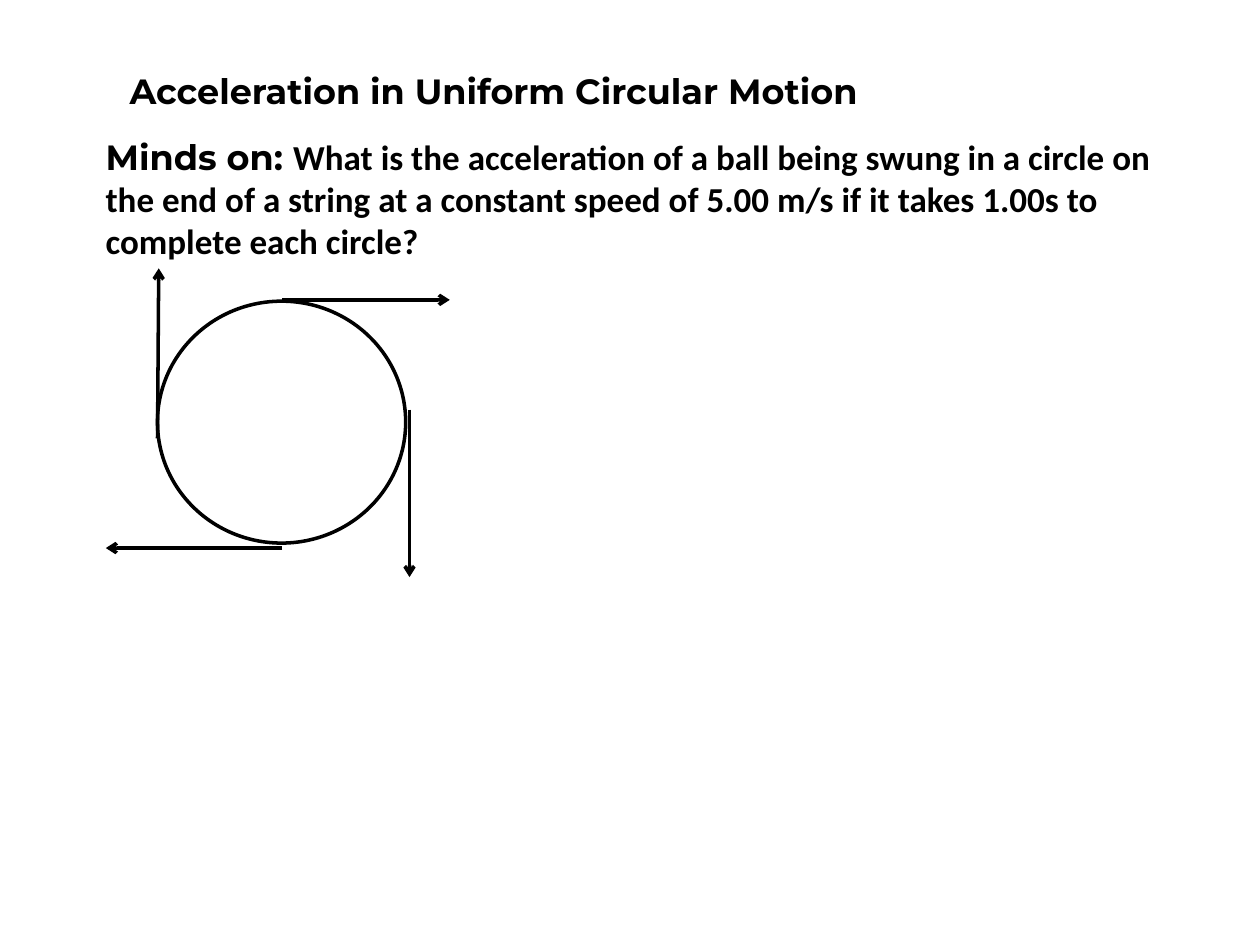
from dataclasses import dataclass

from lxml import etree
from pptx import Presentation
from pptx.dml.color import RGBColor
from pptx.enum.shapes import MSO_CONNECTOR, MSO_SHAPE
from pptx.enum.text import MSO_ANCHOR, PP_ALIGN
from pptx.oxml.ns import qn
from pptx.util import Inches, Pt

STRAIGHT = MSO_CONNECTOR.STRAIGHT
OVAL = MSO_SHAPE.OVAL
MIDDLE = MSO_ANCHOR.MIDDLE
LEFT = PP_ALIGN.LEFT


@dataclass(frozen=True)
class Theme:
    ink: RGBColor = RGBColor(0, 0, 0)
    heading_font: str = "Montserrat"
    body_font: str = "Calibri"
    text_size: Pt = Pt(20)
    line_width: Pt = Pt(2)


@dataclass(frozen=True)
class Passage:
    left: float
    top: float
    runs: tuple[tuple[str, str], ...]  # (wording, font name)
    width: float = 8.5
    height: float = 1.61


@dataclass(frozen=True)
class Velocity:
    start: tuple[float, float]
    end: tuple[float, float]


THEME = Theme()

PASSAGES = (
    Passage(0.93, -0.09, (
        ("Acceleration in Uniform Circular Motion", THEME.heading_font),
    )),
    Passage(0.74, 0.77, (
        ("Minds on: ", THEME.heading_font),
        ("What is the acceleration of a ball being swung in a circle on the "
         "end of a string at a constant speed of 5.00 m/s if it takes 1.00s "
         "to complete each circle?", THEME.body_font),
    )),
)

ORBIT = (1.25, 2.39, 1.97, 1.92)

VELOCITIES = (
    Velocity((2.24, 2.38), (3.57, 2.38)),  # top
    Velocity((3.25, 3.25), (3.25, 4.58)),  # right
    Velocity((2.24, 4.35), (0.84, 4.35)),  # bottom
    Velocity((1.25, 3.48), (1.26, 2.13)),  # left
)


def apply_format(target, values: dict) -> None:
    for name, value in values.items():
        setattr(target, name, value)


def style_line(line) -> None:
    line.color.rgb = THEME.ink
    line.width = THEME.line_width


def add_passage(slide, passage: Passage) -> None:
    box = slide.shapes.add_textbox(
        Inches(passage.left), Inches(passage.top),
        Inches(passage.width), Inches(passage.height))
    apply_format(box.text_frame, {"word_wrap": True, "vertical_anchor": MIDDLE})
    paragraph = box.text_frame.paragraphs[0]
    paragraph.alignment = LEFT
    for wording, font_name in passage.runs:
        run = paragraph.add_run()
        run.text = wording
        apply_format(run.font, {
            "name": font_name, "size": THEME.text_size, "bold": True})
        run.font.color.rgb = THEME.ink


def add_orbit(slide) -> None:
    orbit = slide.shapes.add_shape(OVAL, *(Inches(length) for length in ORBIT))
    orbit.shadow.inherit = False
    orbit.fill.background()
    style_line(orbit.line)


def add_velocity(slide, velocity: Velocity) -> None:
    arrow = slide.shapes.add_connector(
        STRAIGHT,
        *(Inches(length) for length in velocity.start + velocity.end))
    style_line(arrow.line)
    properties = arrow.element.spPr
    outline = properties.find(qn("a:ln"))
    etree.SubElement(outline, qn("a:tailEnd"), type="arrow")
    etree.SubElement(properties, qn("a:effectLst"))


def main() -> None:
    presentation = Presentation()
    presentation.slide_width = Inches(10)
    presentation.slide_height = Inches(7.5)
    slide = presentation.slides.add_slide(presentation.slide_layouts[6])

    # Heading and question
    for passage in PASSAGES:
        add_passage(slide, passage)

    # Ball's circular path with its velocity at four points
    add_orbit(slide)
    for velocity in VELOCITIES:
        add_velocity(slide, velocity)

    presentation.save("out.pptx")


if __name__ == "__main__":
    main()
